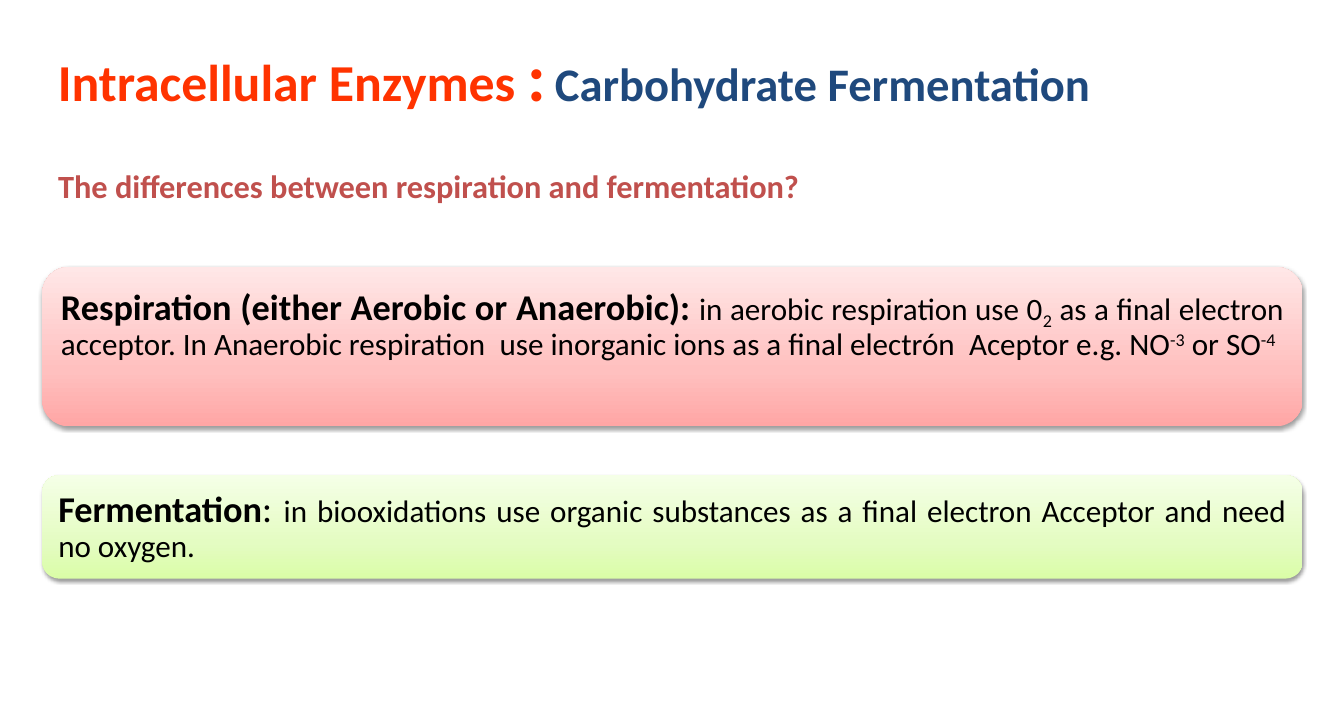
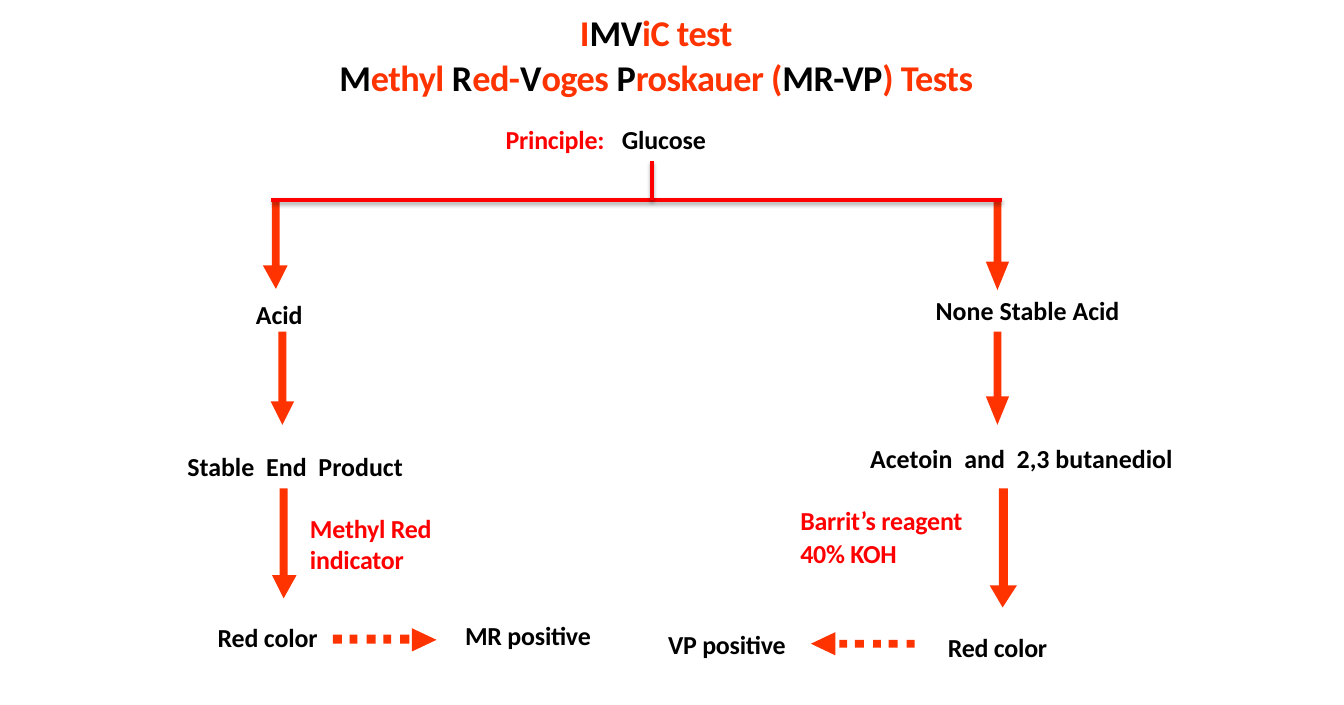
from copy import deepcopy

from lxml import etree
from pptx import Presentation
from pptx import util as u
from pptx.dml.color import RGBColor
from pptx.enum import shapes, text
from pptx.oxml.ns import qn

Pt = u.Pt
FONT = "Calibri"
COLORS = {
    "orange": "FF3300",
    "red": "FF0000",
    "navy": "1F497D",
    "brick": "C0504D",
    "black": "000000",
}
PINK = ["FFA6A5", "FFC0BF", "FFE7E7"]
GREEN = ["DAFDA7", "E4FCC2", "F5FFE7"]


def write(frame, paragraphs, margins=(0, 0, 0, 0), spacing=0):
    """Fill a frame with (text, size, colour, bold, baseline[, spacing]) runs."""
    frame.word_wrap = True
    frame.margin_left, frame.margin_top, frame.margin_right, frame.margin_bottom = map(Pt, margins)
    for index, runs in enumerate(paragraphs):
        paragraph = frame.paragraphs[0] if index == 0 else frame.add_paragraph()
        for words, size, color, bold, baseline, *own_spacing in runs:
            run = paragraph.add_run()
            run.text = words
            run.font.name = FONT
            run.font.size = Pt(size)
            run.font.bold = bold
            run.font.color.rgb = RGBColor.from_string(COLORS[color])
            if baseline:
                run.font._element.set("baseline", str(baseline * 1000))
            tracking = own_spacing[0] if own_spacing else spacing
            if tracking:
                run.font._element.set("spc", str(round(tracking * 100)))


def set_shadow(shape, opacity, distance):
    """Replace the theme shadow; call after fill and line are set."""
    effects = etree.SubElement(shape._element.spPr, qn("a:effectLst"))
    shadow = etree.SubElement(effects, qn("a:outerShdw"), blurRad=str(Pt(3.1)),
                              dist=str(Pt(distance)), dir="5400000", rotWithShape="0")
    black = etree.SubElement(shadow, qn("a:srgbClr"), val=COLORS["black"])
    etree.SubElement(black, qn("a:alpha"), val=str(opacity * 1000))


deck = Presentation()
deck.slide_width, deck.slide_height = Pt(1037.5), Pt(544.3)
blank = deck.slide_layouts[6]

# Slide 1: respiration and fermentation
slide = deck.slides.add_slide(blank)
title = slide.shapes.add_textbox(Pt(44.6), Pt(26), Pt(846), Pt(74))
write(title.text_frame, [[
    ("Intracellular Enzymes ", 40, "orange", True, 0),
    (":", 52, "orange", True, 0),
    (" ", 31, "orange", True, 0),
    ("Carbohydrate Fermentation", 36, "navy", True, 0),
]])
question = slide.shapes.add_textbox(Pt(44.9), Pt(128.4), Pt(728), Pt(41))
write(question.text_frame, [[
    ("The differences between respiration and fermentation?", 25, "brick", True, 0),
]])

wide_space = (" ", 24, "black", False, 0, 5.4)
definitions = [
    (206.2, 123, PINK, text.MSO_ANCHOR.TOP, [
        ("Respiration (either Aerobic or Anaerobic): ", 28, "black", True, 0),
        ("in aerobic respiration use 0", 24, "black", False, 0),
        ("2", 24, "black", False, -25),
        (" as a final electron acceptor. In Anaerobic respiration", 24, "black", False, 0),
        wide_space,
        ("use inorganic ions as a final electrón", 24, "black", False, 0),
        wide_space,
        ("Aceptor e.g. NO", 24, "black", False, 0),
        ("-3", 24, "black", False, 30),
        (" or SO", 24, "black", False, 0),
        ("-4", 24, "black", False, 30),
    ]),
    (366.8, 80, GREEN, text.MSO_ANCHOR.MIDDLE, [
        ("Fermentation", 28, "black", True, 0),
        (": ", 29, "black", False, 0),
        ("in biooxidations use organic substances as a final electron Acceptor "
         "and need no oxygen.", 24, "black", False, 0),
    ]),
]
for top, height, shades, anchor, runs in definitions:
    panel = slide.shapes.add_shape(shapes.MSO_SHAPE.ROUNDED_RECTANGLE,
                                   Pt(32.6), Pt(top), Pt(973), Pt(height))
    panel.fill.gradient()
    panel.fill.gradient_angle = 90
    stop_list = panel._element.spPr.find(".//" + qn("a:gsLst"))
    stop_list.insert(1, deepcopy(stop_list[0]))
    for stop, position, shade in zip(panel.fill.gradient_stops, (0, 0.35, 1), shades):
        stop.position = position
        stop.color.rgb = RGBColor.from_string(shade)
    panel.line.fill.background()
    set_shadow(panel, 38, 1.6)
    write(panel.text_frame, [runs], margins=(8.5, 8.5, 8.5, 8.5))
    panel.text_frame.vertical_anchor = anchor
    definition = panel.text_frame.paragraphs[0]
    definition.alignment = text.PP_ALIGN.JUSTIFY
    definition.line_spacing = 0.9

# Slide 2: MR-VP flow
slide = deck.slides.add_slide(blank)
title_lines = [
    [("I", "orange"), ("MV", "black"), ("iC test", "orange")],
    [("M", "black"), ("ethyl ", "orange"), ("R", "black"), ("ed-", "orange"),
     ("V", "black"), ("oges ", "orange"), ("P", "black"), ("roskauer ", "orange"),
     ("(", "orange"), ("MR-VP", "black"), (") Tests", "orange")],
]
title = slide.shapes.add_textbox(Pt(171), Pt(0), Pt(671), Pt(78))
write(title.text_frame,
      [[(words, 28, color, True, 0) for words, color in line] for line in title_lines],
      margins=(0, 7, 0, 0), spacing=-0.4)
for paragraph in title.text_frame.paragraphs:
    paragraph.alignment = text.PP_ALIGN.CENTER
    paragraph.line_spacing = Pt(34.8)

# Left, top, width, colour, letter spacing, lines; parts of a line stand a wide space apart
steps = [
    (390.3, 95.2, 84, "red", -0.2, [["Principle:"]]),
    (480, 95.2, 90, "black", -0.1, [["Glucose"]]),
    (197.5, 230.5, 50, "black", 0, [["Acid"]]),
    (144.6, 348, 184, "black", 0, [["Stable", "End", "Product"]]),
    (239.3, 395.7, 105, "red", -0.2, [["Methyl Red indicator"]]),
    (168, 479.7, 90, "black", -0.15, [["Red color"]]),
    (359, 478.2, 110, "black", -0.2, [["MR positive"]]),
    (722.3, 227.2, 171, "black", 0, [["None Stable Acid"]]),
    (671.7, 341.7, 269, "black", 0, [["Acetoin", "and", "2,3 butanediol"]]),
    (617.8, 389.7, 144, "red", -0.2, [["Barrit’s reagent"], ["40% KOH"]]),
    (731.7, 487.7, 90, "black", -0.2, [["Red color"]]),
    (515.7, 485.3, 100, "black", -0.2, [["VP positive"]]),
]
for left, top, width, color, spacing, lines in steps:
    step = slide.shapes.add_textbox(Pt(left), Pt(top), Pt(width), Pt(25 * len(lines)))
    paragraphs = []
    for first, *others in lines:
        runs = [(first, 20, color, True, 0)]
        for part in others:
            runs += [(" ", 20, color, True, 0, 4.5), (part, 20, color, True, 0)]
        paragraphs.append(runs)
    write(step.text_frame, paragraphs, spacing=spacing)
    for paragraph in step.text_frame.paragraphs[1:]:
        paragraph.space_before = Pt(1)

# Solid arrows: centre x, top, tip, shaft width, head width, head length
fork_y = 154.7
outlines = []
for x, top, tip, shaft, head, length in [
    (212.8, fork_y, 223.2, 6.3, 19, 18),
    (218.2, 256.3, 328.2, 6, 18, 18.5),
    (219.2, 376.6, 462.2, 6.3, 19, 18),
    (770.4, fork_y, 224, 6, 18, 22),
    (770.4, 256.3, 328.2, 6, 18, 22),
    (774.4, 376.6, 468.7, 7, 21.5, 16.5),
]:
    neck = tip - length
    outlines.append([[
        (x - shaft / 2, top), (x + shaft / 2, top), (x + shaft / 2, neck),
        (x + head / 2, neck), (x, tip), (x - head / 2, neck), (x - shaft / 2, neck),
    ]])

# Dotted arrows: tail x, centre y, direction
dot, head, reach = 6.5, 18, 80
for tail, y, direction in [(257, 493.6, 1), (706, 497, -1)]:
    contours = []
    for index in range(5):
        near = tail + direction * 2 * dot * index
        far = near + direction * dot
        contours.append([(near, y - dot / 2), (far, y - dot / 2),
                         (far, y + dot / 2), (near, y + dot / 2)])
    neck = tail + direction * (reach - 19)
    contours.append([(neck, y - head / 2), (tail + direction * reach, y), (neck, y + head / 2)])
    outlines.append(contours)

for contours in outlines:
    builder = slide.shapes.build_freeform(*contours[0][0], scale=Pt(1))
    for index, points in enumerate(contours):
        if index:
            builder.move_to(*points[0])
        builder.add_line_segments(points[1:], close=True)
    arrow = builder.convert_to_shape()
    arrow.fill.solid()
    arrow.fill.fore_color.rgb = RGBColor.from_string(COLORS["orange"])
    arrow.line.fill.background()
    arrow.shadow.inherit = False

for ends in [(209.5, fork_y, 773.3, fork_y), (503.3, 124.6, 503.3, fork_y)]:
    fork = slide.shapes.add_connector(shapes.MSO_CONNECTOR.STRAIGHT, *map(Pt, ends))
    fork.line.color.rgb = RGBColor.from_string(COLORS["red"])
    fork.line.width = Pt(3)
    set_shadow(fork, 35, 1.8)

deck.save("out.pptx")
